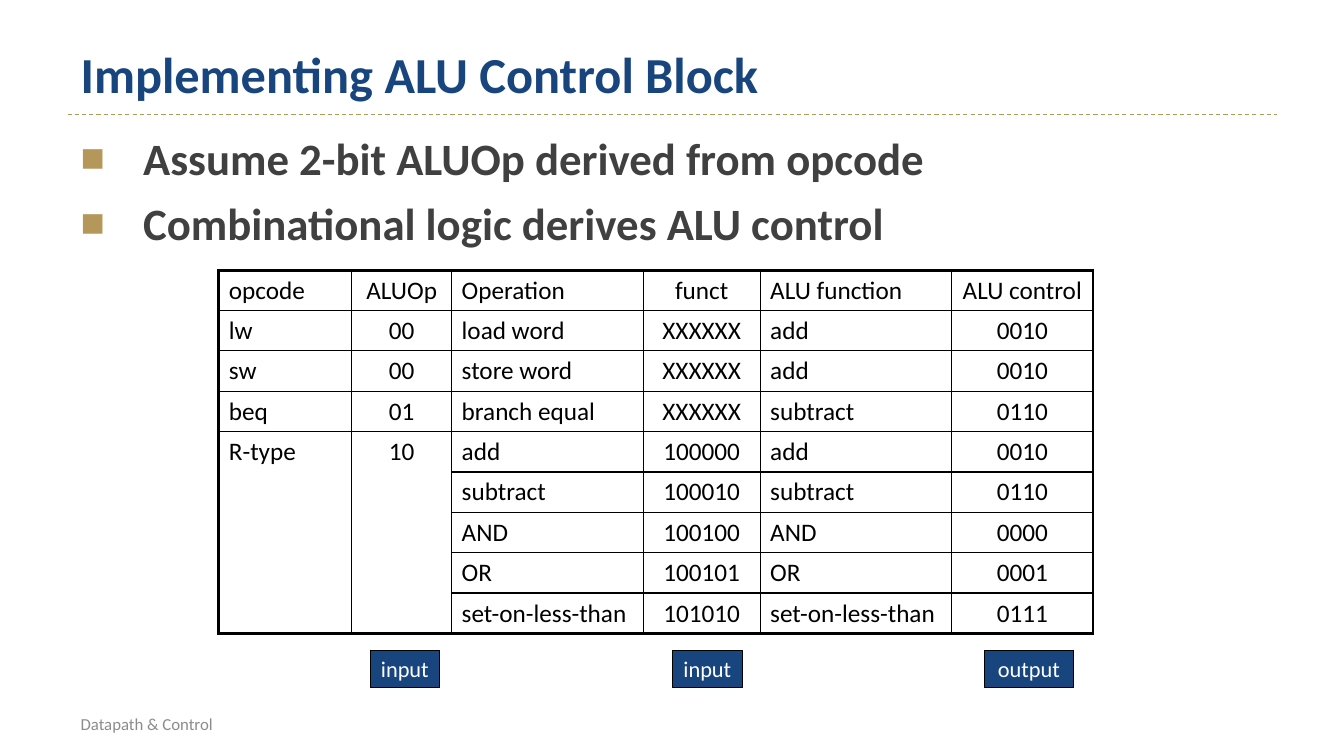
from lxml import etree
from pptx import Presentation
from pptx import util as u
from pptx.dml.color import RGBColor
from pptx.enum import dml, shapes, text
from pptx.oxml.ns import qn

TITLE = "Implementing ALU Control Block"
FOOTER = "Datapath & Control"
POINTS = ["Assume 2-bit ALUOp derived from opcode", "Combinational logic derives ALU control"]
ROWS = [
    ("opcode", "ALUOp", "Operation", "funct", "ALU function", "ALU control"),
    ("lw", "00", "load word", "XXXXXX", "add", "0010"),
    ("sw", "00", "store word", "XXXXXX", "add", "0010"),
    ("beq", "01", "branch equal", "XXXXXX", "subtract", "0110"),
    ("R-type", "10", "add", "100000", "add", "0010"),
    ("", "", "subtract", "100010", "subtract", "0110"),
    ("", "", "AND", "100100", "AND", "0000"),
    ("", "", "OR", "100101", "OR", "0001"),
    ("", "", "set-on-less-than", "101010", "set-on-less-than", "0111"),
]
WIDTHS = [1.32, 0.99, 1.9, 1.16, 1.9, 1.4]
TAGS = [("input", 3.67, 0.69), ("input", 6.67, 0.69), ("output", 9.76, 0.89)]
COLORS = {"navy": "18457D", "gold": "B49759", "body": "404040",
          "footer": "8C8C8C", "black": "000000", "white": "FFFFFF"}
FONT = "Calibri"
LEFT, WIDTH = 0.67, 12
ROW_HEIGHT = 0.4
RTYPE_ROW = 4
THIN, HEADER, OUTER = 1, 1.5, 2.25


def rgb(name):
    return RGBColor.from_string(COLORS[name])


def add_span(para, words, size, color, bold=False):
    span = para.add_run()
    span.text = words
    span.font.name = FONT
    span.font.size = u.Pt(size)
    span.font.bold = bold
    span.font.color.rgb = rgb(color)


def add_box(page, left, top, width, height, anchor):
    box = page.shapes.add_textbox(*map(u.Inches, (left, top, width, height)))
    frame = box.text_frame
    frame.word_wrap = True
    frame.vertical_anchor = anchor
    frame.margin_left = frame.margin_right = u.Inches(0.13)
    frame.margin_top = frame.margin_bottom = u.Inches(0.07)
    return frame


def add_bullet(para):
    props = para._p.get_or_add_pPr()
    props.set("marL", str(u.Inches(0.62)))
    props.set("indent", str(-u.Inches(0.62)))
    color = etree.SubElement(props, qn("a:buClr"))
    etree.SubElement(color, qn("a:srgbClr"), val=COLORS["gold"])
    etree.SubElement(props, qn("a:buSzPct"), val="90000")
    etree.SubElement(props, qn("a:buFont"), typeface="Arial")
    etree.SubElement(props, qn("a:buChar"), char="■")


def set_borders(cell, weights):
    props = cell._tc.get_or_add_tcPr()
    for place, (side, weight) in enumerate(weights.items()):
        line = etree.Element(qn(f"a:ln{side}"), w=str(u.Pt(weight)))
        fill = etree.SubElement(line, qn("a:solidFill"))
        etree.SubElement(fill, qn("a:srgbClr"), val=COLORS["black"])
        props.insert(place, line)


def add_heading(page):
    rule = page.shapes.add_connector(
        shapes.MSO_CONNECTOR.STRAIGHT, u.Inches(LEFT), u.Inches(1.14),
        u.Inches(LEFT + WIDTH), u.Inches(1.14))
    rule.line.color.rgb = rgb("gold")
    rule.line.width = u.Pt(0.75)
    rule.line.dash_style = dml.MSO_LINE.DASH
    etree.SubElement(rule._element.spPr, qn("a:effectLst"))
    title = add_box(page, LEFT, 0.29, WIDTH, 0.87, text.MSO_ANCHOR.MIDDLE)
    add_span(title.paragraphs[0], TITLE, 36, "navy", True)
    footer = add_box(page, LEFT, 7.06, 1.83, 0.24, text.MSO_ANCHOR.MIDDLE)
    add_span(footer.paragraphs[0], FOOTER, 12, "footer")


def add_points(page):
    frame = add_box(page, LEFT, 1.23, WIDTH, 1.4, text.MSO_ANCHOR.TOP)
    for index, point in enumerate(POINTS):
        para = frame.add_paragraph() if index else frame.paragraphs[0]
        add_bullet(para)
        para.space_before = u.Pt(6 if index else 0)
        para.space_after = u.Pt(2)
        add_span(para, point, 32, "body", True)


def add_control_table(page):
    last_row, last_column = len(ROWS) - 1, len(WIDTHS) - 1
    table = page.shapes.add_table(
        len(ROWS), len(WIDTHS), u.Inches(2.17), u.Inches(2.68),
        u.Inches(sum(WIDTHS)), u.Inches(ROW_HEIGHT * len(ROWS))).table
    table.first_row = table.horz_banding = False
    for column, width in zip(table.columns, WIDTHS):
        column.width = u.Inches(width)
    for r, row in enumerate(ROWS):
        table.rows[r].height = u.Inches(ROW_HEIGHT)
        for c, words in enumerate(row):
            cell = table.cell(r, c)
            cell.fill.background()
            set_borders(cell, {
                "L": OUTER if c == 0 else THIN,
                "R": OUTER if c == last_column else THIN,
                "T": {0: OUTER, 1: HEADER}.get(r, THIN),
                "B": {0: HEADER, last_row: OUTER}.get(r, THIN),
            })
            if words:
                para = cell.text_frame.paragraphs[0]
                para.alignment = text.PP_ALIGN.CENTER if c % 2 else text.PP_ALIGN.LEFT
                add_span(para, words, 18, "black")
    for c in (0, 1):
        table.cell(RTYPE_ROW, c).merge(table.cell(last_row, c))
        set_borders(table.cell(RTYPE_ROW, c), {})
        table.cell(RTYPE_ROW, c)._tc.tcPr.find(qn("a:lnB")).set("w", str(u.Pt(OUTER)))


def add_tags(page):
    for words, left, width in TAGS:
        tag = page.shapes.add_shape(
            shapes.MSO_SHAPE.RECTANGLE, u.Inches(left), u.Inches(6.45),
            u.Inches(width), u.Inches(0.37))
        tag.shadow.inherit = False
        tag.fill.solid()
        tag.fill.fore_color.rgb = rgb("navy")
        tag.line.color.rgb = rgb("black")
        tag.line.width = u.Pt(0.75)
        tag.text_frame.word_wrap = False
        tag.text_frame.vertical_anchor = text.MSO_ANCHOR.MIDDLE
        para = tag.text_frame.paragraphs[0]
        para.alignment = text.PP_ALIGN.CENTER
        add_span(para, words, 16, "white")


def main():
    deck = Presentation()
    deck.slide_width, deck.slide_height = u.Inches(13.33), u.Inches(7.5)
    page = deck.slides.add_slide(deck.slide_layouts[6])
    add_heading(page)
    add_points(page)
    add_control_table(page)
    add_tags(page)
    deck.save("out.pptx")


if __name__ == "__main__":
    main()
